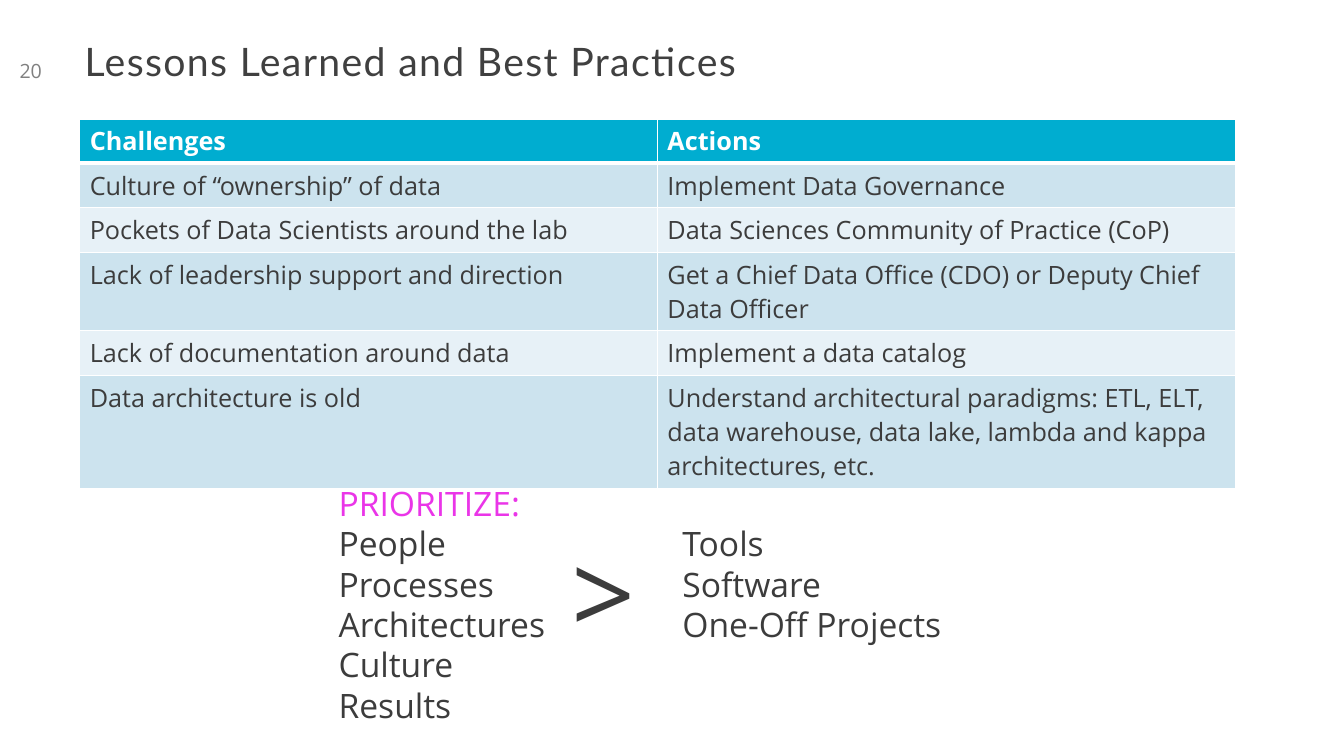
from lxml import etree
from pptx import Presentation
from pptx import util as u
from pptx.dml.color import RGBColor
from pptx.enum import text as t
from pptx.oxml import ns

INK = "3C3C3C"
ROWS = [
    ("Challenges", "Actions"),
    ("Culture of “ownership” of data", "Implement Data Governance"),
    ("Pockets of Data Scientists around the lab",
     "Data Sciences Community of Practice (CoP)"),
    ("Lack of leadership support and direction",
     "Get a Chief Data Office (CDO) or Deputy Chief Data Officer"),
    ("Lack of documentation around data", "Implement a data catalog"),
    ("Data architecture is old",
     "Understand architectural paradigms: ETL, ELT, data warehouse, "
     "data lake, lambda and kappa architectures, etc."),
]


def px(*vals):
    return [u.Emu(v * 9144) for v in vals]


def tint(code):
    return RGBColor.from_string(code)


class Deck:
    """Hold the slide style and draw each kind of element."""

    def __init__(self):
        self.prs = Presentation()
        self.prs.slide_width, self.prs.slide_height = px(1333, 750)
        self.slide = self.prs.slides.add_slide(self.prs.slide_layouts[5])
        self.body = "Open Sans"

    def style(self, para, size, color, face=None, bold=False):
        for run in para.runs:
            font = run.font
            font.name, font.size, font.bold = face or self.body, u.Pt(size), bold
            font.color.rgb = tint(color)

    def inset(self, frame, side, top):
        frame.margin_left = frame.margin_right = px(side)[0]
        frame.margin_top, frame.margin_bottom = px(top, 5)

    def title(self, words, box):
        shape = self.slide.shapes.title
        shape.left, shape.top, shape.width, shape.height = px(*box)
        frame = shape.text_frame
        frame.text = words
        frame.vertical_anchor = t.MSO_ANCHOR.TOP
        frame.auto_size = t.MSO_AUTO_SIZE.NONE
        self.inset(frame, 5, 5)
        para = frame.paragraphs[0]
        para.alignment = t.PP_ALIGN.LEFT
        para.line_spacing = 0.85
        self.style(para, 28, "404040", "Lato")
        para.runs[0].font._element.set("spc", "100")

    def number(self, words, box):
        frame = self.slide.shapes.add_textbox(*px(*box)).text_frame
        frame.text = words
        frame.word_wrap = True
        frame.vertical_anchor = t.MSO_ANCHOR.MIDDLE
        self.inset(frame, 5, 5)
        frame.paragraphs[0].alignment = t.PP_ALIGN.CENTER
        self.style(frame.paragraphs[0], 14, "808080")

    def lines(self, words, box, size=24, top=7, lead=None):
        frame = self.slide.shapes.add_textbox(*px(*box)).text_frame
        frame.text = "\n".join(words)
        frame.word_wrap = True
        self.inset(frame, 10, top)
        for i, para in enumerate(frame.paragraphs):
            para.line_spacing = u.Pt(size * 1.2)
            self.style(para, size, lead if lead and i == 0 else INK)

    def edge(self, cell, side, width):
        props = cell._tc.get_or_add_tcPr()
        line = etree.SubElement(props, ns.qn("a:ln" + side), w=str(u.Pt(width)))
        fill = etree.SubElement(line, ns.qn("a:solidFill"))
        etree.SubElement(fill, ns.qn("a:srgbClr"), val="FFFFFF")

    def table(self, rows, box):
        grid = self.slide.shapes.add_table(len(rows), 2, *px(*box)).table
        for r, row in enumerate(rows):
            grid.rows[r].height = px(41)[0]
            head = r == 0
            shade = "00ADD0" if head else ("E7F1F7", "CCE3EE")[r % 2]
            for c, words in enumerate(row):
                cell = grid.cell(r, c)
                cell.text = words
                self.style(cell.text_frame.paragraphs[0], 18,
                           "FFFFFF" if head else INK, bold=head)
                for side in "LRTB":
                    thick = head and side == "B" or r == 1 and side == "T"
                    self.edge(cell, side, 3 if thick else 1)
                cell.fill.solid()
                cell.fill.fore_color.rgb = tint(shade)


def main():
    deck = Deck()
    deck.title("Lessons Learned and Best Practices", (79, 39, 1146, 62))
    deck.table(ROWS, (79, 118, 1146, 246))
    deck.number("20", (0, 39, 61, 62))
    deck.lines(["PRIORITIZE:", "People", "Processes", "Architectures",
                "Culture", "Results"], (326, 472, 238, 252), lead="EA35E8")
    deck.lines([">"], (557, 505, 149, 145), size=80, top=14)
    deck.lines(["Tools", "Software", "One-Off Projects"], (667, 512, 300, 131))
    deck.prs.save("out.pptx")


if __name__ == "__main__":
    main()
